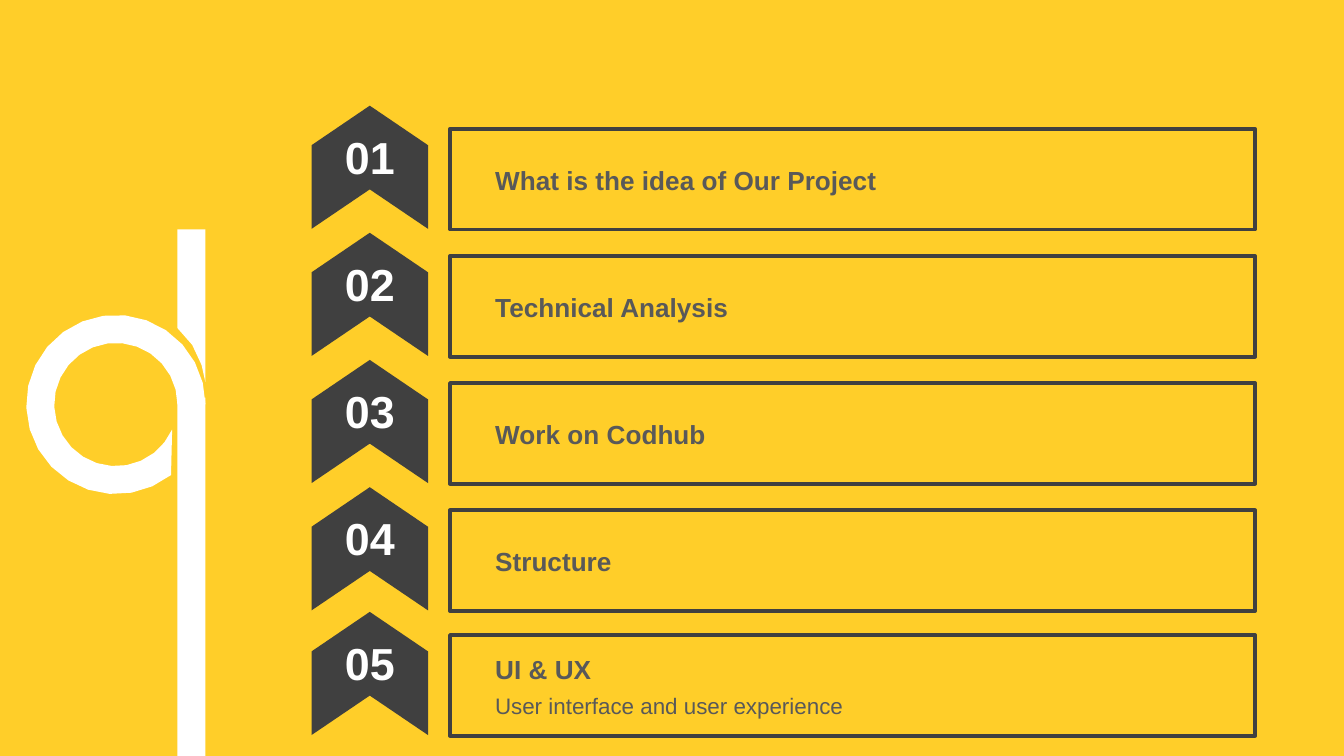
import math
import pptx
import pptx.dml.color
import pptx.enum.shapes
import pptx.enum.text
import pptx.util

Pt = pptx.util.Pt
KIND = pptx.enum.shapes.MSO_SHAPE
ALIGN = pptx.enum.text.PP_ALIGN
HUES = {"back": "FFCE29", "dark": "404040", "text": "595959", "white": "FFFFFF"}


def paint(form, hue):
    form.solid()
    form.fore_color.rgb = pptx.dml.color.RGBColor.from_string(HUES[hue])


def write(text, left, top, width, height, size=14, hue="text", bold=True,
          align=ALIGN.LEFT, kind=None):
    area = Pt(left), Pt(top), Pt(width), Pt(height)
    if kind is None:
        box = slide.shapes.add_textbox(*area)
    else:
        box = slide.shapes.add_shape(kind, *area)
        box.shadow.inherit = False
        box.fill.background()
        box.line.fill.background()
    frame = box.text_frame
    frame.word_wrap = True
    frame.vertical_anchor = pptx.enum.text.MSO_ANCHOR.MIDDLE
    para = frame.paragraphs[0]
    para.alignment = align
    run = para.add_run()
    run.text = text
    run.font.name = "Arial"
    run.font.size = Pt(size)
    run.font.bold = bold
    paint(run.font.fill, hue)


deck = pptx.Presentation()
deck.slide_width, deck.slide_height = Pt(720), Pt(405)
slide = deck.slides.add_slide(deck.slide_layouts[6])
paint(slide.background.fill, "back")

# Open ring: outer arc forward, inner arc back
mid_x, mid_y = 62.1, 216.7
arcs = [(48, range(52, 361, 14)), (33, range(360, 23, -14))]
ring = [(mid_x + rad * math.cos(math.radians(deg)), mid_y + rad * math.sin(math.radians(deg)))
        for rad, degs in arcs for deg in degs]

# Upper stem with a curved cut
stem = [(95, 122.9), (110, 122.9), (110, 204.5), (108, 195.5), (103, 184.8), (95, 175.7)]

# White figure on the left
for dots in (ring, stem):
    pen = slide.shapes.build_freeform(Pt(dots[0][0]), Pt(dots[0][1]))
    pen.add_line_segments([(Pt(x), Pt(y)) for x, y in dots[1:]], close=True)
    shape = pen.convert_to_shape()
    shape.shadow.inherit = False
    paint(shape.fill, "white")
    shape.line.fill.background()
leg = slide.shapes.add_shape(KIND.RECTANGLE, Pt(95), Pt(213), Pt(15), Pt(192))
leg.shadow.inherit = False
paint(leg.fill, "white")
leg.line.fill.background()

# Agenda rows: top, title, detail
rows = [
    (69, "What is the idea of Our Project", ""),
    (137.1, "Technical Analysis", ""),
    (205.2, "Work on Codhub", ""),
    (273.4, "Structure", ""),
    (340.2, "UI & UX", "User interface and user experience"),
]
for num, (top, title, note) in enumerate(rows, 1):
    # Outlined frame
    frame = slide.shapes.add_shape(KIND.RECTANGLE, Pt(241.1), Pt(top), Pt(431.3), Pt(54))
    frame.shadow.inherit = False
    frame.fill.background()
    paint(frame.line.fill, "dark")
    frame.line.width = Pt(2)

    # Title and detail
    label = KIND.ROUND_2_SAME_RECTANGLE
    write(title, 257, top + (5 if note else 14), 396.7, 25.2, kind=label)
    if note:
        write(note, 257, top + 26, 396.7, 23, size=12, bold=False, kind=label)

    # Numbered chevron pointing up
    mark = slide.shapes.add_shape(KIND.CHEVRON, Pt(165.1), Pt(top - 10.6), Pt(66), Pt(62.4))
    mark.rotation = 270
    mark.adjustments[0] = 0.339
    mark.shadow.inherit = False
    paint(mark.fill, "dark")
    mark.line.fill.background()
    write(f"{num:02}", 176.2, top - 3.2, 43.9, 36, size=24, hue="white", align=ALIGN.CENTER)

deck.save("out.pptx")
